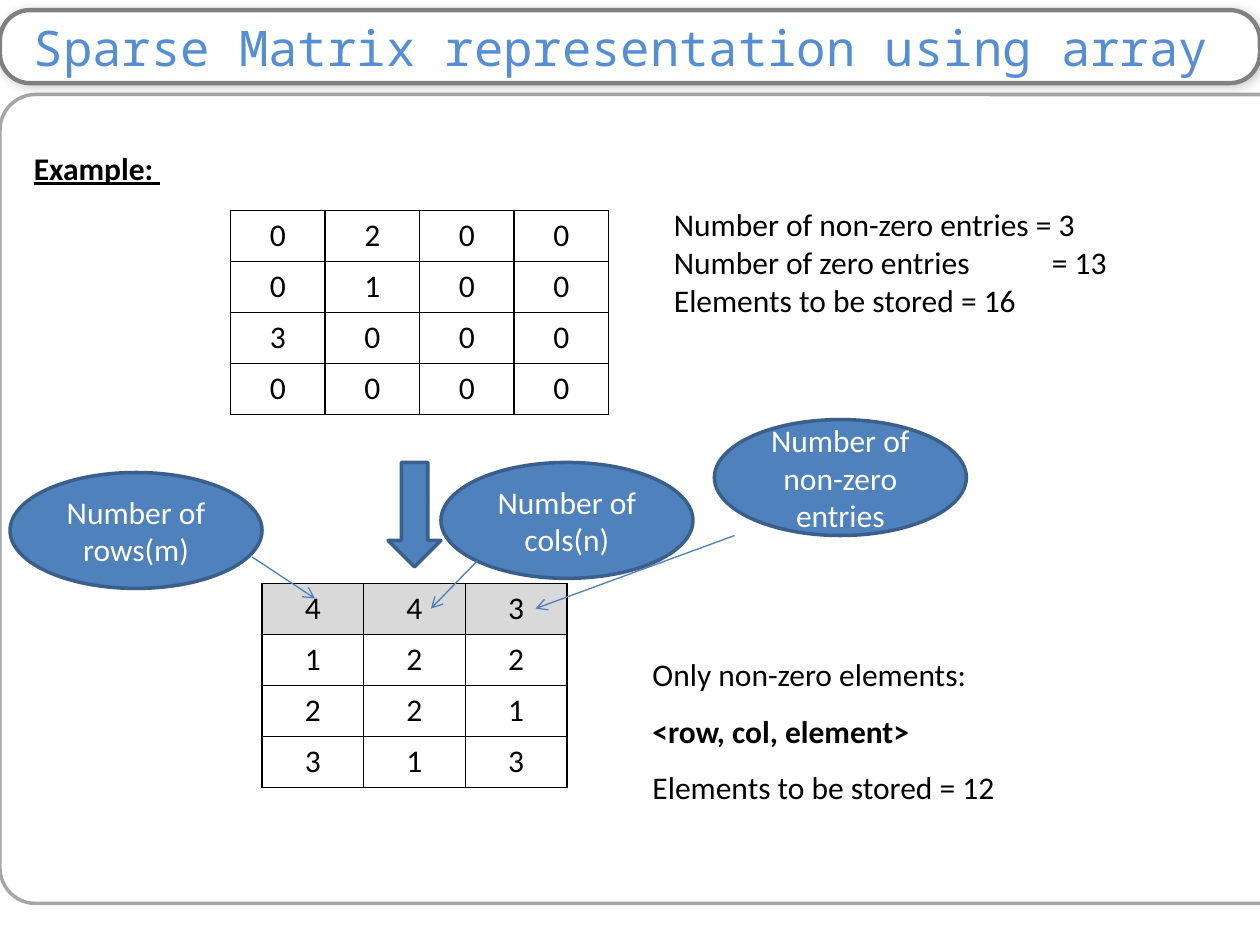
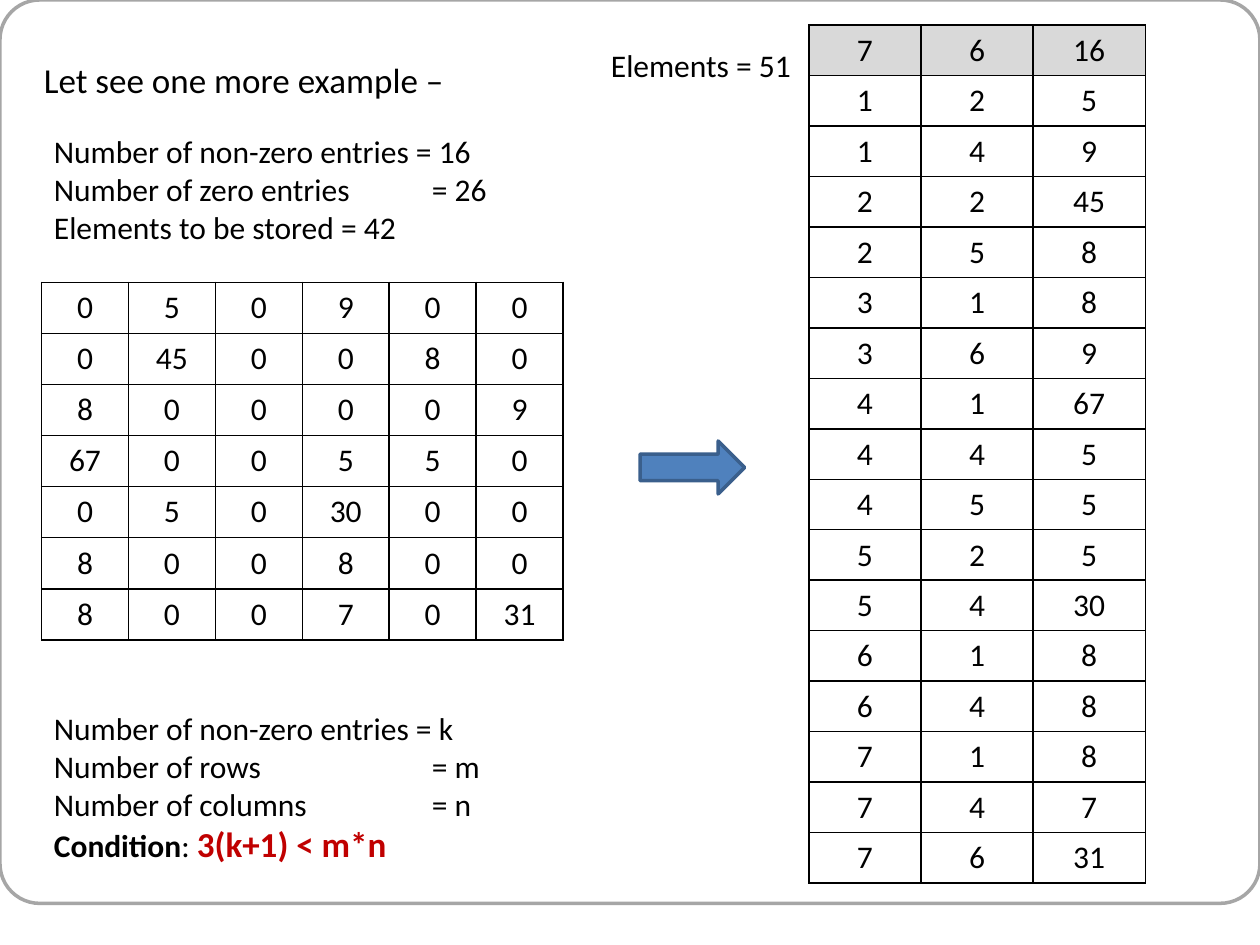
from lxml import etree
from pptx import Presentation
from pptx.dml.color import RGBColor
from pptx.enum.shapes import MSO_CONNECTOR, MSO_SHAPE
from pptx.enum.text import MSO_ANCHOR, PP_ALIGN
from pptx.oxml.ns import qn
from pptx.util import Inches, Pt

ROUNDED, OVAL = MSO_SHAPE.ROUNDED_RECTANGLE, MSO_SHAPE.OVAL
DOWN, RIGHT = MSO_SHAPE.DOWN_ARROW, MSO_SHAPE.RIGHT_ARROW
STRAIGHT = MSO_CONNECTOR.STRAIGHT
CENTER, MIDDLE, TOP = PP_ALIGN.CENTER, MSO_ANCHOR.MIDDLE, MSO_ANCHOR.TOP

COLORS = {
    "text": "000000", "white": "FFFFFF", "title": "558ED5", "band": "808080",
    "frame": "A6A6A6", "accent": "4F81BD", "accent_edge": "3A5F8C",
    "pointer": "4B7EBC", "header": "D9D9D9", "condition": "C00000",
}

# Text formats
BODY = {"name": "Calibri", "size": Pt(18), "color": "text"}
BOLD = BODY | {"bold": True}
HEADING = BOLD | {"underline": True}
LEAD = BODY | {"size": Pt(20)}
CONDITION = LEAD | {"bold": True, "color": "condition"}
BUBBLE = BODY | {"color": "white"}
TITLE = {"name": "Noto Sans Mono", "size": Pt(28), "color": "title"}

# Content: a text is a list of paragraphs, each a list of (words, format)
TITLE_TEXT = "Sparse Matrix representation using array"

SMALL_MATRIX = [
    [0, 2, 0, 0],
    [0, 1, 0, 0],
    [3, 0, 0, 0],
    [0, 0, 0, 0],
]
LARGE_MATRIX = [
    [0, 5, 0, 9, 0, 0],
    [0, 45, 0, 0, 8, 0],
    [8, 0, 0, 0, 0, 9],
    [67, 0, 0, 5, 5, 0],
    [0, 5, 0, 30, 0, 0],
    [8, 0, 0, 8, 0, 0],
    [8, 0, 0, 7, 0, 31],
]

STORED_TEXT = [
    [("Only non-zero elements:", BODY)],
    [("<row, col, element>", BOLD)],
    [("Elements to be stored = 12", BODY)],
]
CONDITION_TEXT = [
    [("Number of non-zero entries = k", BODY)],
    [("Number of rows\t= m", BODY)],
    [("Number of columns\t= n", BODY)],
    [("Condition", BOLD), (": ", BODY), ("3(k+1) < m*n", CONDITION)],
]

# (label, left, top) of each bubble; (start, end) of each pointer
BUBBLES = [
    ("Number of rows(m)", 0.08, 3.75),
    ("Number of cols(n)", 3.5, 3.67),
    ("Number of non-zero entries", 5.67, 3.33),
]
BUBBLE_SIZE = (2, 0.92)
POINTERS = [
    ((2, 4.42), (2.5, 4.75)),
    ((3.79, 4.45), (3.42, 4.83)),
    ((5.83, 4.25), (4.25, 4.83)),
]
FRAME_RADIUS = 0.044
TAB_STOP = 3


def rgb(color):
    return RGBColor.from_string(COLORS[color])


def inches(values):
    return [Inches(value) for value in values]


def sub(parent, tag, **attributes):
    return etree.SubElement(parent, qn(tag), attributes)


# Sparse form: a (rows, cols, count) header, then one triple per entry
def sparse_form(matrix):
    entries = [(row, col, value)
               for row, values in enumerate(matrix, 1)
               for col, value in enumerate(values, 1) if value]
    return [(len(matrix), len(matrix[0]), len(entries))] + entries


def entry_counts(matrix):
    stored = len(matrix) * len(matrix[0])
    nonzero = len(sparse_form(matrix)) - 1
    lines = (f"Number of non-zero entries = {nonzero}",
             f"Number of zero entries\t= {stored - nonzero}",
             f"Elements to be stored = {stored}")
    return [[(line, BODY)] for line in lines]


def write(frame, paragraphs, align=None, spacing=None, anchor=TOP):
    frame.word_wrap = True
    frame.vertical_anchor = anchor
    for index, runs in enumerate(paragraphs):
        paragraph = frame.add_paragraph() if index else frame.paragraphs[0]
        paragraph.alignment = align
        paragraph.line_spacing = spacing
        for words, style in runs:
            run = paragraph.add_run()
            run.text = words
            for key, value in style.items():
                if key == "color":
                    run.font.color.rgb = rgb(value)
                else:
                    setattr(run.font, key, value)
        if any("\t" in words for words, _ in runs):
            tabs = sub(paragraph._p.get_or_add_pPr(), "a:tabLst")
            sub(tabs, "a:tab", pos=str(Inches(TAB_STOP)), algn="l")


def add_text(slide, box, paragraphs, spacing=None):
    write(slide.shapes.add_textbox(*inches(box)).text_frame, paragraphs, spacing=spacing)


def add_shape(slide, kind, box, fill="accent", edge="accent_edge", width=2, radius=None):
    shape = slide.shapes.add_shape(kind, *inches(box))
    shape.shadow.inherit = False
    if fill:
        shape.fill.solid()
        shape.fill.fore_color.rgb = rgb(fill)
    else:
        shape.fill.background()
    shape.line.color.rgb = rgb(edge)
    shape.line.width = Pt(width)
    if radius:
        shape.adjustments[0] = radius
    return shape


def add_frame(slide, box):
    add_shape(slide, ROUNDED, box, fill=None, edge="frame", radius=FRAME_RADIUS)


def add_title(slide, words):
    band = add_shape(slide, ROUNDED, (0, 0.08, 10, 0.58), "white", "band", 2.5, 0.409)
    shadow = sub(band._element.spPr.find(qn("a:effectLst")), "a:outerShdw",
                 blurRad=str(Pt(6)), dist=str(Pt(1)), dir="2700000", rotWithShape="0")
    sub(sub(shadow, "a:srgbClr", val=COLORS["text"]), "a:alpha", val="20000")
    margins = {"margin_left": 0.2, "margin_top": 0, "margin_right": 0.1, "margin_bottom": 0}
    for side, margin in margins.items():
        setattr(band.text_frame, side, Inches(margin))
    write(band.text_frame, [[(words, TITLE)]], PP_ALIGN.LEFT, anchor=MIDDLE)


def add_grid(slide, box, rows, header=False):
    width, height = box[2] / len(rows[0]), box[3] / len(rows)
    table = slide.shapes.add_table(len(rows), len(rows[0]), *inches(box)).table
    table.first_row = table.horz_banding = False
    for column in table.columns:
        column.width = Inches(width)
    for r, values in enumerate(rows):
        table.rows[r].height = Inches(height)
        for c, value in enumerate(values):
            cell = table.cell(r, c)
            write(cell.text_frame, [[(str(value), BODY)]], CENTER)
            borders = cell._tc.get_or_add_tcPr()
            for side in ("a:lnL", "a:lnR", "a:lnT", "a:lnB"):
                line = sub(borders, side, w=str(Pt(1)))
                sub(sub(line, "a:solidFill"), "a:srgbClr", val=COLORS["text"])
            if header and r == 0:
                cell.fill.solid()
                cell.fill.fore_color.rgb = rgb("header")
            else:
                cell.fill.background()


def add_pointer(slide, start, end):
    pointer = slide.shapes.add_connector(STRAIGHT, *inches(start + end))
    pointer.line.color.rgb = rgb("pointer")
    pointer.line.width = Pt(0.75)
    sub(pointer.line._get_or_add_ln(), "a:tailEnd", type="arrow")
    sub(pointer._element.spPr, "a:effectLst")


def build_array_slide(slide):
    add_frame(slide, (0, 0.75, 10.33, 6.42))
    add_title(slide, TITLE_TEXT)
    add_text(slide, (0.17, 1.13, 9.67, 0.4), [[("Example: ", HEADING)]])

    # Matrix and its sparse form
    add_grid(slide, (1.83, 1.67, 3, 1.62), SMALL_MATRIX)
    add_text(slide, (5.25, 1.58, 4.58, 1.01), entry_counts(SMALL_MATRIX))
    add_shape(slide, DOWN, (3.08, 3.67, 0.42, 0.83))
    add_grid(slide, (2.08, 4.63, 2.42, 1.62), sparse_form(SMALL_MATRIX), header=True)
    add_text(slide, (5.08, 5, 4.75, 1.46), STORED_TEXT, spacing=1.5)

    # Bubbles that explain the header row
    for label, left, top in BUBBLES:
        bubble = add_shape(slide, OVAL, (left, top, *BUBBLE_SIZE))
        write(bubble.text_frame, [[(label, BUBBLE)]], CENTER, anchor=MIDDLE)
    for start, end in POINTERS:
        add_pointer(slide, start, end)


def build_example_slide(slide):
    add_frame(slide, (0, 0, 10, 7.17))
    add_text(slide, (0.25, 0.25, 4.25, 0.6), [[("Let see one more example –", LEAD)]], 1.5)

    # Matrix and its sparse form
    triples = sparse_form(LARGE_MATRIX)
    add_shape(slide, RIGHT, (5.08, 3.5, 0.83, 0.42))
    add_grid(slide, (0.33, 2.24, 4.14, 2.84), LARGE_MATRIX)
    add_grid(slide, (6.42, 0.2, 2.67, 6.8), triples, header=True)

    # Counts and condition
    add_text(slide, (0.33, 1, 5, 1.01), entry_counts(LARGE_MATRIX))
    add_text(slide, (4.75, 0.17, 1.75, 0.56),
             [[(f"Elements = {3 * len(triples)}", BODY)]], spacing=1.5)
    add_text(slide, (0.33, 5.58, 5.5, 1.68), CONDITION_TEXT)


def main():
    deck = Presentation()
    deck.slide_width, deck.slide_height = Inches(10), Inches(7.5)
    for build in (build_array_slide, build_example_slide):
        build(deck.slides.add_slide(deck.slide_layouts[6]))
    deck.save("out.pptx")


if __name__ == "__main__":
    main()
